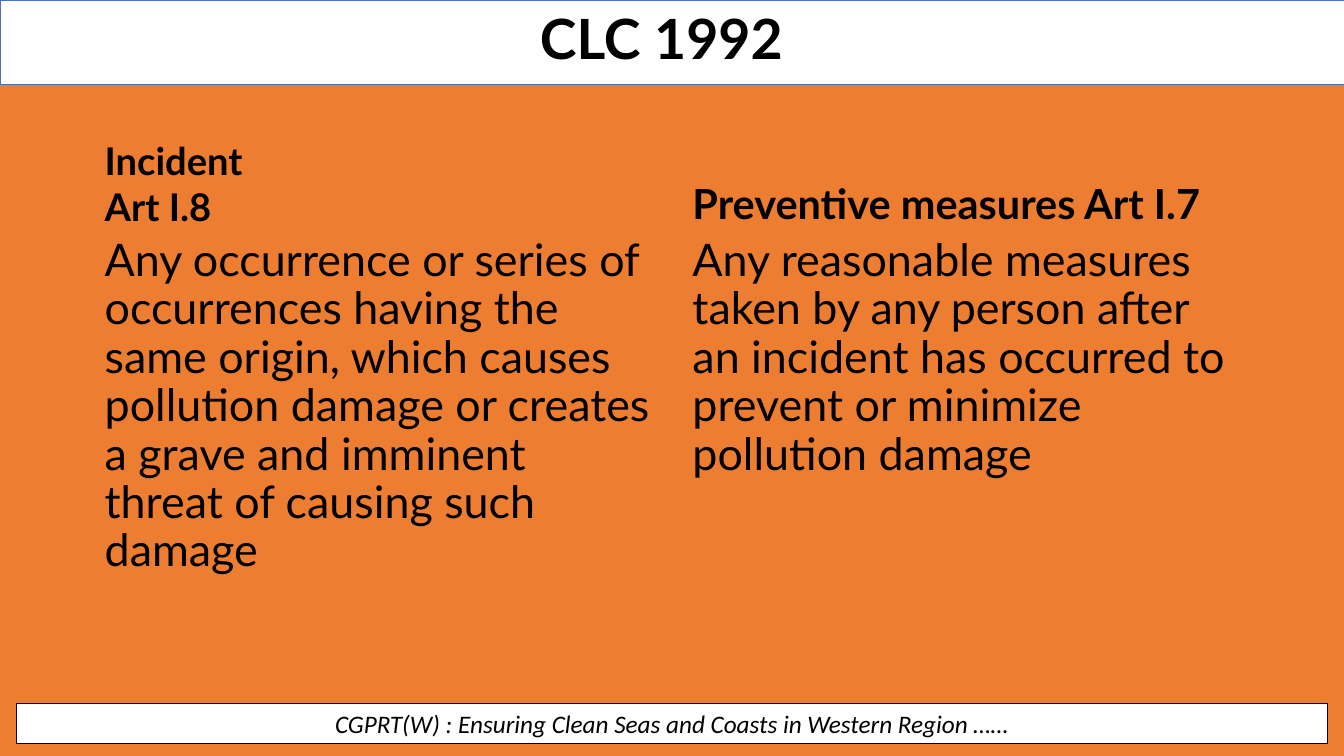
from pptx import Presentation
from pptx.dml.color import RGBColor
from pptx.enum.shapes import MSO_SHAPE
from pptx.enum.text import MSO_ANCHOR, MSO_AUTO_SIZE, PP_ALIGN
from pptx.util import Pt

PX = 9144  # EMU per px, 100 px to the inch
COLORS = {"orange": "ED7D31", "white": "FFFFFF", "blue": "4472C4", "black": "000000"}
HEADING_TOP, HEADING_HEIGHT = 141, 90
BODY_TOP, BODY_HEIGHT = HEADING_TOP + HEADING_HEIGHT, 403

# left, width, heading lines, heading size, heading line spacing, body
COLUMNS = [
    (94, 564, ["Incident", "Art I.8"], 27.2, 0.7,
     "Any occurrence or series of occurrences having the same origin, which causes "
     "pollution damage or creates a grave and imminent threat of causing such damage"),
    (677, 567, ["Preventive measures Art I.7"], 29.6, 0.8,
     "Any reasonable measures taken by any person after an incident has occurred to "
     "prevent or minimize pollution damage"),
]


def color(name):
    return RGBColor.from_string(COLORS[name])


def emu(*lengths):
    return [length * PX for length in lengths]


def write(shape, lines, size, font="Lato", bold=False, italic=False,
          align=PP_ALIGN.LEFT, anchor=MSO_ANCHOR.TOP, spacing=1.0):
    frame = shape.text_frame
    frame.word_wrap = True
    frame.auto_size = MSO_AUTO_SIZE.NONE
    frame.vertical_anchor = anchor
    frame.text = "\n".join(lines)
    for index, para in enumerate(frame.paragraphs):
        para.alignment = align
        para.line_spacing = spacing
        para.space_before = Pt(10 if index else 0)
        para.font.name = font
        para.font.size = Pt(size)
        para.font.bold = bold
        para.font.italic = italic
        para.font.color.rgb = color("black")


def add_band(page, left, top, width, height, line, weight):
    band = page.shapes.add_shape(MSO_SHAPE.RECTANGLE, *emu(left, top, width, height))
    band.shadow.inherit = False
    band.fill.solid()
    band.fill.fore_color.rgb = color("white")
    band.line.color.rgb = color(line)
    band.line.width = Pt(weight)
    return band


def add_title(page, text):
    """Place the title over a white band across the top."""
    title = page.shapes.title
    band = add_band(page, 0, 0, 1333, 84, "blue", 0.5)
    title._element.addprevious(band._element)
    title.left, title.top, title.width, title.height = emu(81, 5, 1150, 73)
    write(title, [text], 39.6, bold=True, align=PP_ALIGN.CENTER,
          anchor=MSO_ANCHOR.MIDDLE, spacing=0.9)


def add_column(page, left, width, heading, heading_size, heading_spacing, body):
    heading_box = page.shapes.add_textbox(*emu(left, HEADING_TOP, width, HEADING_HEIGHT))
    write(heading_box, heading, heading_size, bold=True,
          anchor=MSO_ANCHOR.BOTTOM, spacing=heading_spacing)
    body_box = page.shapes.add_textbox(*emu(left, BODY_TOP, width, BODY_HEIGHT))
    write(body_box, [body], 32, spacing=0.9)


def add_footer(page, text):
    band = add_band(page, 16, 698, 1301, 40, "black", 0.75)
    write(band, [text], 18, font="Calibri", italic=True,
          align=PP_ALIGN.CENTER, anchor=MSO_ANCHOR.MIDDLE)


def main():
    deck = Presentation()
    deck.slide_width, deck.slide_height = emu(1333, 750)
    page = deck.slides.add_slide(deck.slide_layouts[5])
    page.background.fill.solid()
    page.background.fill.fore_color.rgb = color("orange")
    add_title(page, "CLC 1992")
    for column in COLUMNS:
        add_column(page, *column)
    add_footer(page, "CGPRT(W) : Ensuring Clean Seas and Coasts in Western Region ……")
    deck.save("out.pptx")


if __name__ == "__main__":
    main()
